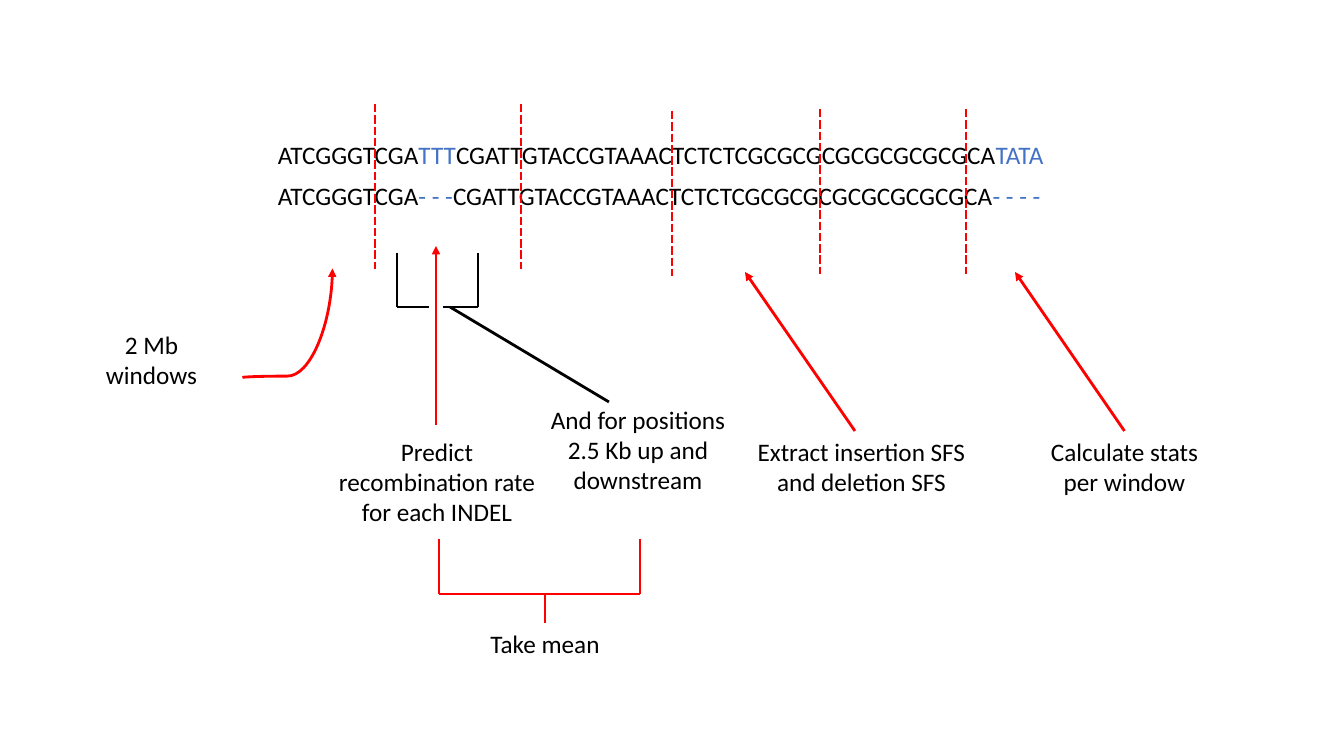
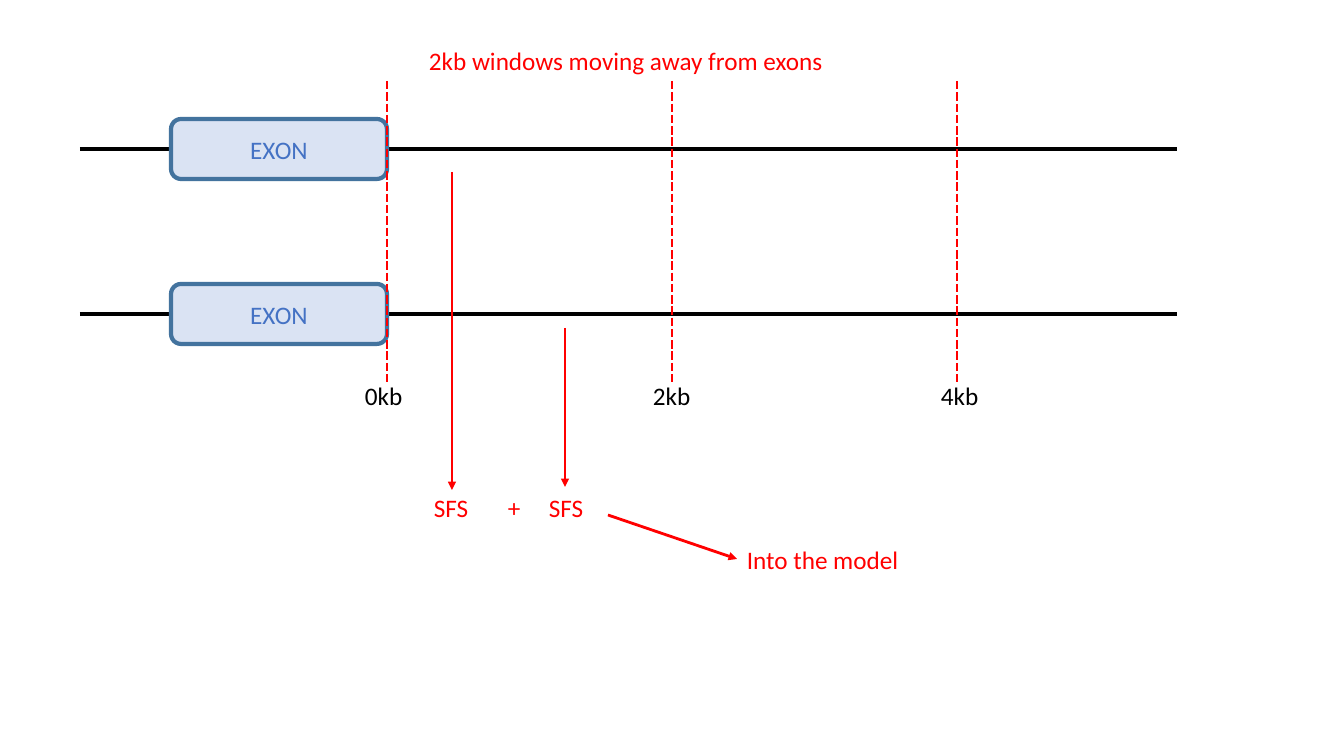
from lxml import etree
from pptx import Presentation
from pptx.dml.color import RGBColor
from pptx.enum.dml import MSO_LINE
from pptx.enum.shapes import MSO_CONNECTOR, MSO_SHAPE
from pptx.enum.text import MSO_ANCHOR, PP_ALIGN
from pptx.oxml.ns import qn
from pptx.util import Emu, Pt

EMU_PER_PX = 914400 / 100.8
SLIDE_WIDTH, SLIDE_HEIGHT = 1344, 756
BLANK_LAYOUT = 6
TOP, LEFT = 0, 1

RED = RGBColor(0xFF, 0x00, 0x00)
BLACK = RGBColor(0x00, 0x00, 0x00)
BLUE = RGBColor(0x44, 0x72, 0xC4)
EXON_FILL = RGBColor(0xDA, 0xE3, 0xF3)
EXON_EDGE = RGBColor(0x43, 0x73, 0x9E)

FONT = "Calibri"
FONT_SIZE = 18
STRAIGHT = MSO_CONNECTOR.STRAIGHT
CURVE = MSO_CONNECTOR.CURVE
DASH = MSO_LINE.SQUARE_DOT
ROUNDED = MSO_SHAPE.ROUNDED_RECTANGLE
MIDDLE = MSO_ANCHOR.MIDDLE
ALIGN_LEFT = PP_ALIGN.LEFT
CENTER = PP_ALIGN.CENTER

FLANK = "ATCGGGTCGA"
CORE = "CGATTGTACCGTAAACTCTCTCGCGCGCGCGCGCGCGCA"


def px(value):
    return Emu(round(value * EMU_PER_PX))


def style_span(span, color):
    span.font.name = FONT
    span.font.size = Pt(FONT_SIZE)
    span.font.color.rgb = color


def style_text(frame, color, align):
    for para in frame.paragraphs:
        para.alignment = align
        for span in para.runs:
            style_span(span, color)


def add_text(shapes, bounds, text, color=BLACK, align=CENTER):
    box = shapes.add_textbox(*map(px, bounds))
    box.text_frame.word_wrap = True
    box.text_frame.text = text
    style_text(box.text_frame, color, align)
    return box


def add_sequence(shapes, top, insertion, ending):
    box = add_text(shapes, (268, top, 808, 40), "", align=ALIGN_LEFT)
    para = box.text_frame.paragraphs[0]
    pieces = ((FLANK, BLACK), (insertion, BLUE), (CORE, BLACK), (ending, BLUE))
    for text, color in pieces:
        span = para.add_run()
        span.text = text
        style_span(span, color)


def add_line(shapes, ends, color=RED, width=2, dash=None, arrow=False, kind=STRAIGHT):
    line = shapes.add_connector(kind, *map(px, ends))
    line.line.color.rgb = color
    line.line.width = Pt(width)
    if dash is not None:
        line.line.dash_style = dash
    properties = line._element.spPr
    if arrow:
        etree.SubElement(properties.find(qn("a:ln")), qn("a:tailEnd"), type="triangle")
    etree.SubElement(properties, qn("a:effectLst"))
    return line


def add_lines(page, color, segments):
    group = page.shapes.add_group_shape()
    for ends in segments:
        add_line(group.shapes, ends, color)


def add_curved_arrow(shapes, ends):
    curve = add_line(shapes, ends, arrow=True, kind=CURVE)
    properties = curve._element.spPr
    properties.find(qn("a:xfrm")).set("rot", "5400000")
    guides = properties.find(qn("a:prstGeom")).find(qn("a:avLst"))
    etree.SubElement(guides, qn("a:gd"), name="adj1", fmla="val 1300")


def add_tab_stops(box, stops):
    for para in box.text_frame.paragraphs:
        tabs = etree.SubElement(para._p.get_or_add_pPr(), qn("a:tabLst"))
        for stop in stops:
            etree.SubElement(tabs, qn("a:tab"), pos=str(px(stop)), algn="l")


def add_strand(page, top):
    group = page.shapes.add_group_shape()
    middle = top + 30
    add_line(group.shapes, (80, middle, 1177, middle), BLACK, 3)
    exon = group.shapes.add_shape(ROUNDED, *map(px, (171, top, 216, 60)))
    exon.shadow.inherit = False
    exon.fill.solid()
    exon.fill.fore_color.rgb = EXON_FILL
    exon.line.color.rgb = EXON_EDGE
    exon.line.width = Pt(3)
    exon.text_frame.text = "EXON"
    exon.text_frame.vertical_anchor = MIDDLE
    style_text(exon.text_frame, BLUE, CENTER)


def build_indel_page(page):
    shapes = page.shapes
    add_sequence(shapes, 134, "TTT", "TATA")
    add_sequence(shapes, 175, "- - -", "- - - -")
    for x, top in ((375, 104), (521, 104), (672, 111), (820, 109), (966, 109)):
        add_line(shapes, (x, top, x, top + 165), dash=DASH)

    add_curved_arrow(shapes, (342, 368, 233, 278))
    add_text(shapes, (54, 324, 195, 72), "2 Mb\nwindows")

    add_line(shapes, (436, 425, 436, 246), arrow=True)
    add_text(shapes, (328, 431, 218, 102), "Predict recombination rate for each INDEL")
    add_lines(page, BLACK, (
        (397, 253, 397, 307),
        (478, 253, 478, 307),
        (429, 307, 397, 307),
        (478, 307, 443, 307),
        (450, 307, 609, 402),
    ))
    add_text(shapes, (529, 399, 218, 102), "And for positions 2.5 Kb up and downstream")

    add_lines(page, RED, (
        (439, 539, 439, 594),
        (640, 539, 640, 594),
        (640, 594, 439, 594),
    ))
    mean = add_text(shapes, (436, 623, 218, 40), "Take mean")
    add_line(shapes, (545, 594, 545, 623)).end_connect(mean, TOP)

    add_line(shapes, (855, 431, 745, 272), arrow=True)
    add_text(shapes, (747, 431, 229, 72), "Extract insertion SFS and deletion SFS")
    stats = add_text(shapes, (1027, 431, 195, 72), "Calculate stats per window")
    add_line(shapes, (1125, 431, 1015, 272), arrow=True).begin_connect(stats, TOP)


def build_exon_page(page):
    shapes = page.shapes
    for top in (119, 284):
        add_strand(page, top)
    for index, label in enumerate(("0kb", "2kb", "4kb")):
        x = 387 + 285 * index
        add_line(shapes, (x, 81, x, 382), dash=DASH)
        add_text(shapes, (355 + 288 * index, 375, 75, 40), label, align=ALIGN_LEFT)
    add_text(shapes, (419, 40, 587, 40), "2kb windows moving away from exons", RED, ALIGN_LEFT)

    for ends in ((452, 172, 452, 490), (565, 328, 565, 487)):
        add_line(shapes, ends, arrow=True)
    spectra = add_text(shapes, (424, 487, 186, 40), "SFS\t+\tSFS", RED, ALIGN_LEFT)
    add_tab_stops(spectra, (74, 115))
    model = add_text(shapes, (737, 539, 186, 40), "Into the model", RED, ALIGN_LEFT)
    add_line(shapes, (608, 515, 737, 559), arrow=True).end_connect(model, LEFT)


def main():
    deck = Presentation()
    deck.slide_width = px(SLIDE_WIDTH)
    deck.slide_height = px(SLIDE_HEIGHT)
    for build in (build_indel_page, build_exon_page):
        build(deck.slides.add_slide(deck.slide_layouts[BLANK_LAYOUT]))
    deck.save("out.pptx")


if __name__ == "__main__":
    main()
